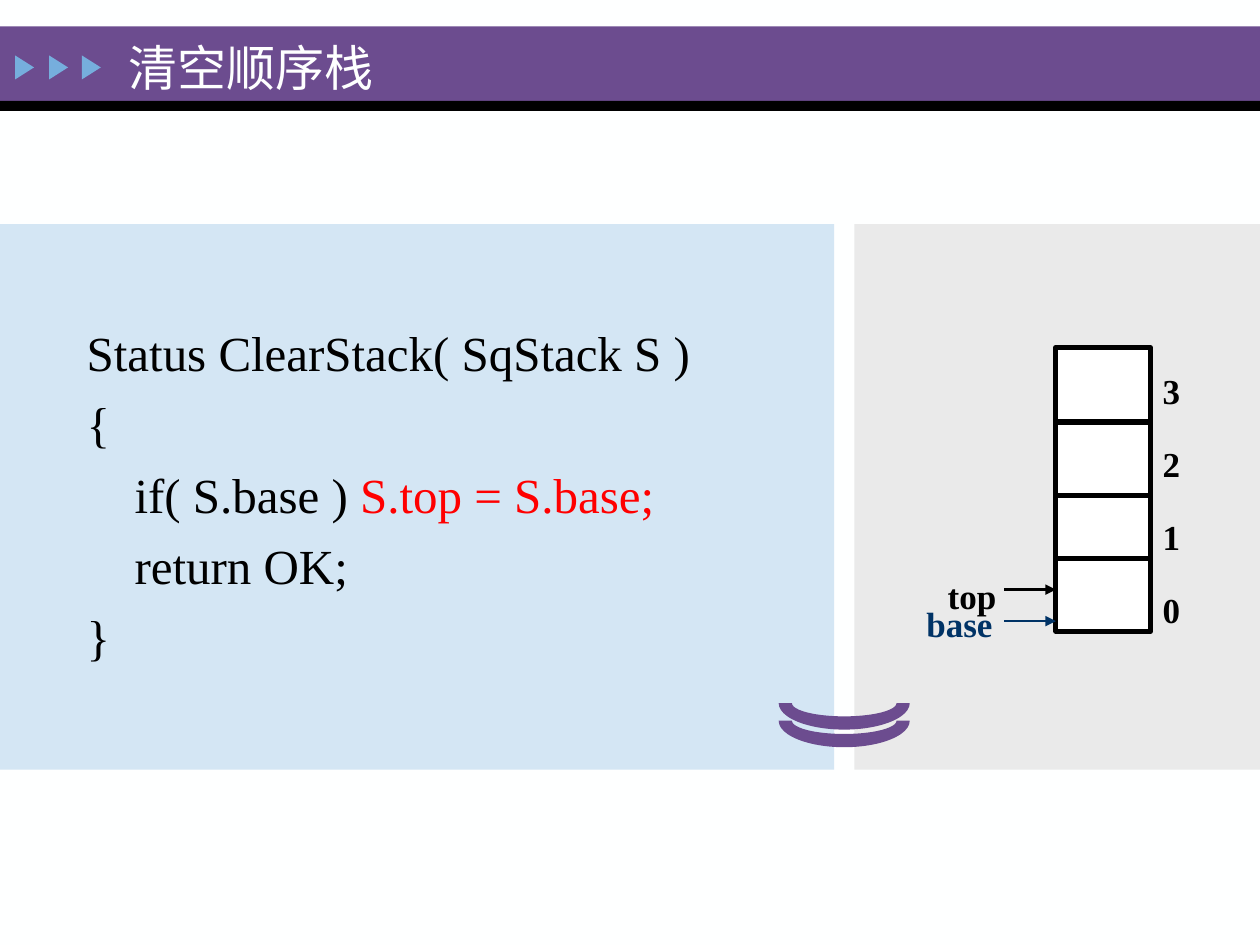
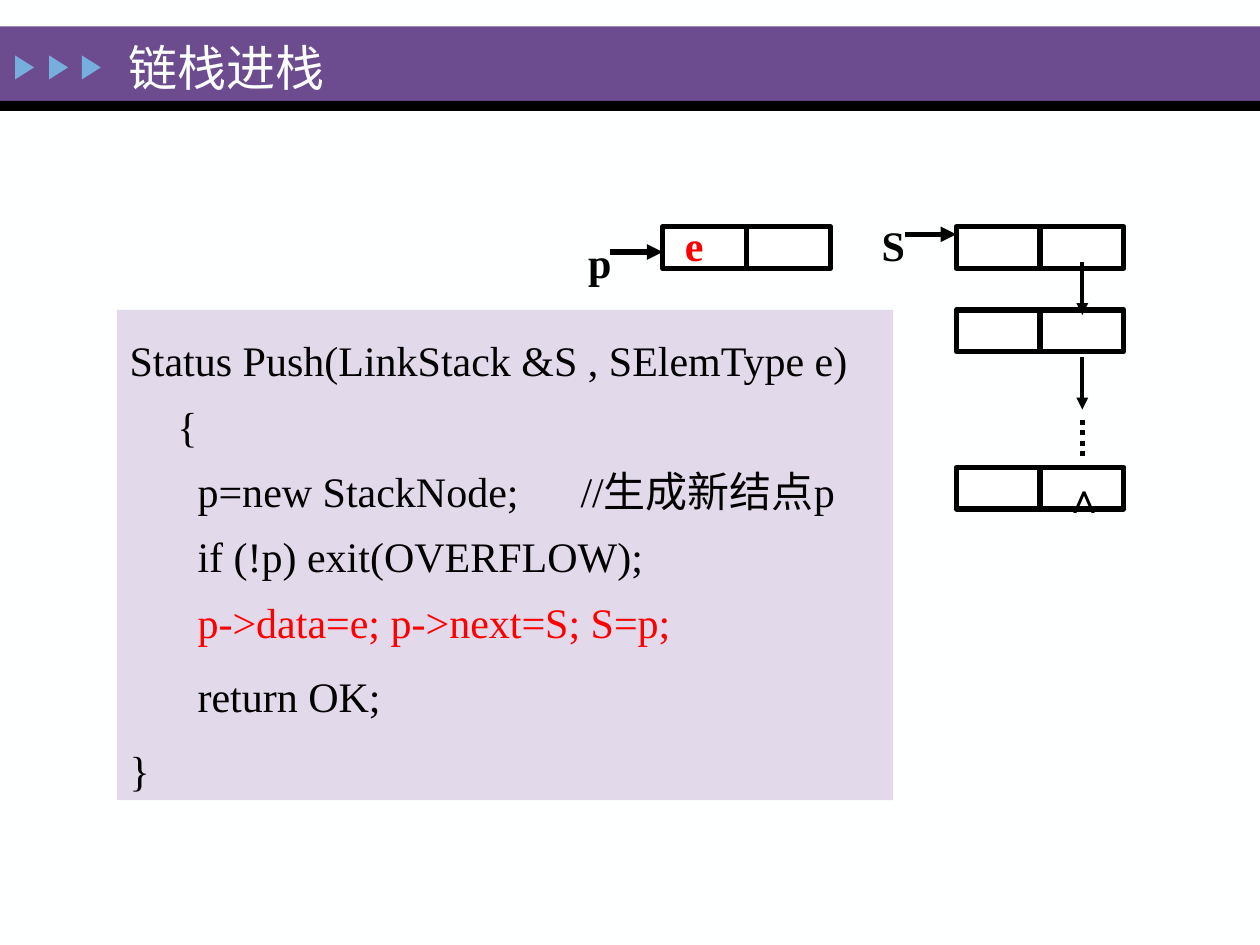
from lxml import etree
from pptx import Presentation
from pptx.dml.color import RGBColor
from pptx.enum.dml import MSO_LINE
from pptx.enum.shapes import MSO_CONNECTOR, MSO_SHAPE as Preset
from pptx.enum.text import MSO_ANCHOR, PP_ALIGN
from pptx.oxml.ns import qn
from pptx.util import Inches, Pt

PAPER = RGBColor(0xFE, 0xFF, 0xFF)
WHITE = RGBColor(0xFF, 0xFF, 0xFF)
BLACK = RGBColor(0, 0, 0)
RED = RGBColor(0xFF, 0, 0)
PURPLE = RGBColor(0x6C, 0x4C, 0x8F)
SKY = RGBColor(0x76, 0xAE, 0xDD)
PALE_BLUE = RGBColor(0xD4, 0xE6, 0xF4)
PALE_GREY = RGBColor(0xEA, 0xEA, 0xEA)
LILAC = RGBColor(0xE2, 0xD9, 0xEB)
NAVY = RGBColor(0, 0x33, 0x66)
FONT = "Times New Roman"

CLEAR_TITLE = "清空顺序栈"
CLEAR_CODE = [
    [("Status ClearStack( SqStack S )", BLACK)],
    [("{", BLACK)],
    [("\tif( S.base ) ", BLACK), ("S.top = S.base;", RED)],
    [("\treturn OK;", BLACK)],
    [("}", BLACK)],
]
STACK_INDEXES = ["3", "2", "1", "0"]
STACK_DIVIDERS = [3.35, 3.93, 4.43]
STACK_POINTERS = [
    ("base", 6.95, 4.7, 4.93, NAVY),
    ("top", 7.05, 4.48, 4.68, BLACK),
]

PUSH_TITLE = "链栈进栈"
PUSH_CODE = [
    [("Status Push(LinkStack &S , SElemType e)", BLACK)],
    [("\t{", BLACK)],
    [("\t\tp=new StackNode;\t//生成新结点p", BLACK)],
    [("\t\tif (!p) exit(OVERFLOW);", BLACK)],
    [("\t\tp->data=e; p->next=S; S=p;", RED)],
    [("\t\treturn OK;", BLACK)],
    [("}", BLACK)],
]
PUSH_GAPS = [0, 0, 0, 0, 0, 5, 5]
NODES = [(5.26, 1.8), (7.59, 1.8), (7.59, 2.46), (7.59, 3.71)]
NODE_LABELS = [
    ("p", 4.51, 1.8, BLACK),
    ("S", 6.84, 1.66, BLACK),
    ("e", 5.26, 1.66, RED),
    ("∧", 8.34, 3.66, BLACK),
]
HEAD_ARROWS = [(4.84, 5.26, 2.0), (7.18, 7.59, 1.86)]
NEXT_X = 8.59
NEXT_TOPS = [2.08, 2.83]
NEXT_LENGTH = 0.42


def add_block(slide, preset, left, top, width, height, fill, border=None):
    block = slide.shapes.add_shape(
        preset, Inches(left), Inches(top), Inches(width), Inches(height))
    block.shadow.inherit = False
    block.fill.solid()
    block.fill.fore_color.rgb = fill
    if border is None:
        block.line.fill.background()
    else:
        block.line.color.rgb = border
        block.line.width = Pt(3)
    return block


def add_line(slide, x1, y1, x2, y2, width=3, color=BLACK, arrow=False):
    line = slide.shapes.add_connector(
        MSO_CONNECTOR.STRAIGHT, Inches(x1), Inches(y1), Inches(x2), Inches(y2))
    line.line.color.rgb = color
    line.line.width = Pt(width)
    if arrow:
        outline = line.line._get_or_add_ln()
        etree.SubElement(outline, qn("a:tailEnd"), type="triangle")
    etree.SubElement(line.element.spPr, qn("a:effectLst"))
    return line


def add_run(paragraph, text, size, color, bold=False):
    run = paragraph.add_run()
    run.text = text
    run.font.name = FONT
    run.font.size = Pt(size)
    run.font.bold = bold
    run.font.color.rgb = color


def add_label(slide, text, left, top, width, height, size, color,
              align=PP_ALIGN.CENTER):
    label = slide.shapes.add_textbox(
        Inches(left), Inches(top), Inches(width), Inches(height))
    frame = label.text_frame
    frame.word_wrap = True
    frame.margin_top = Inches(0.08)
    frame.paragraphs[0].alignment = align
    add_run(frame.paragraphs[0], text, size, color, bold=True)


def write_code(box, lines, size, tab_stops, gaps, line_spacing, top_margin):
    frame = box.text_frame
    frame.word_wrap = True
    frame.vertical_anchor = MSO_ANCHOR.TOP
    frame.margin_top = Inches(top_margin)
    for number, (runs, gap) in enumerate(zip(lines, gaps)):
        paragraph = frame.add_paragraph() if number else frame.paragraphs[0]
        tabs = etree.SubElement(paragraph._p.get_or_add_pPr(), qn("a:tabLst"))
        for stop in tab_stops:
            etree.SubElement(tabs, qn("a:tab"), pos=str(Inches(stop)), algn="l")
        paragraph.alignment = PP_ALIGN.LEFT
        paragraph.line_spacing = line_spacing
        paragraph.space_before = Pt(gap)
        for text, color in runs:
            add_run(paragraph, text, size, color)


def style_layout(layout, slide):
    layout.background.fill.solid()
    layout.background.fill.fore_color.rgb = PAPER
    for placeholder in list(layout.placeholders):
        if placeholder.placeholder_format.idx:
            layout.shapes.element.remove(placeholder.element)
    bands = [
        add_block(slide, Preset.RECTANGLE, 0, 0.21, 10, 0.59, PURPLE),
        add_block(slide, Preset.RECTANGLE, 0, 0.8, 10, 0.08, BLACK),
    ]
    for left in (0.1, 0.37, 0.63):
        marker = add_block(
            slide, Preset.ISOSCELES_TRIANGLE, left, 0.46, 0.19, 0.15, SKY)
        marker.rotation = 90
        bands.append(marker)
    for band in bands:
        layout.shapes.element.append(band.element)


def set_title(slide, text):
    title = slide.shapes.title
    title.left, title.top = Inches(0.92), Inches(0.28)
    title.width, title.height = Inches(7), Inches(0.5)
    title.text_frame.vertical_anchor = MSO_ANCHOR.MIDDLE
    paragraph = title.text_frame.paragraphs[0]
    paragraph.alignment = PP_ALIGN.LEFT
    add_run(paragraph, text, 28, PAPER)


def build_clear_stack(slide):
    set_title(slide, CLEAR_TITLE)
    add_block(slide, Preset.RECTANGLE, 0, 1.78, 6.62, 4.33, PALE_BLUE)
    add_block(slide, Preset.RECTANGLE, 6.78, 1.78, 3.22, 4.33, PALE_GREY)
    code = slide.shapes.add_textbox(
        Inches(0.59), Inches(2.46), Inches(5.53), Inches(3.23))
    gaps = [0] + [7] * (len(CLEAR_CODE) - 1)
    write_code(code, CLEAR_CODE, 28, [0.38], gaps, 1.0, 0.1)

    left, right = 8.38, 9.13
    add_block(slide, Preset.RECTANGLE, left, 2.76, right - left, 2.25,
              WHITE, BLACK)
    for y in STACK_DIVIDERS:
        add_line(slide, left, y, right, y)
    for row, index in enumerate(STACK_INDEXES):
        add_label(slide, index, right, 2.85 + row * 0.58, 0.33, 0.43, 20,
                  BLACK, PP_ALIGN.LEFT)
    for name, x, y, arrow_y, color in STACK_POINTERS:
        add_label(slide, name, x, y, 1.33, 0.43, 20, color)
        add_line(slide, 7.97, arrow_y, left, arrow_y, 1.5, color, arrow=True)
    for top in (5.51, 5.37):
        clasp = add_block(slide, Preset.BLOCK_ARC, 6.18, top, 1.04, 0.42, PURPLE)
        clasp.rotation = 180


def build_push(slide):
    set_title(slide, PUSH_TITLE)
    for left, top in NODES:
        node = add_block(slide, Preset.RECTANGLE, left, top, 1.33, 0.33,
                         WHITE, BLACK)
        middle = left + 1.33 / 2
        divider = add_line(slide, middle, top, middle, top + 0.33)
        divider.begin_connect(node, 0)
        divider.end_connect(node, 2)
    for start, end, y in HEAD_ARROWS:
        add_line(slide, start, y, end, y, arrow=True)
    for top in NEXT_TOPS:
        add_line(slide, NEXT_X, top, NEXT_X, top + NEXT_LENGTH, 2.25, arrow=True)
    ellipsis = add_line(slide, NEXT_X, 3.33, NEXT_X, 3.66)
    ellipsis.line.dash_style = MSO_LINE.ROUND_DOT
    for text, left, top, color in NODE_LABELS:
        add_label(slide, text, left, top, 0.5, 0.5, 24, color)
    code = add_block(slide, Preset.RECTANGLE, 0.93, 2.46, 6.16, 3.89, LILAC)
    write_code(code, PUSH_CODE, 24, [0.38, 0.54, 3.58], PUSH_GAPS,
               Pt(37.3), 0.08)


def main():
    deck = Presentation()
    deck.slide_width, deck.slide_height = Inches(10), Inches(7.5)
    layout = deck.slide_layouts[5]
    clear_slide = deck.slides.add_slide(layout)
    style_layout(layout, clear_slide)
    build_clear_stack(clear_slide)
    build_push(deck.slides.add_slide(layout))
    deck.save("out.pptx")


if __name__ == "__main__":
    main()
